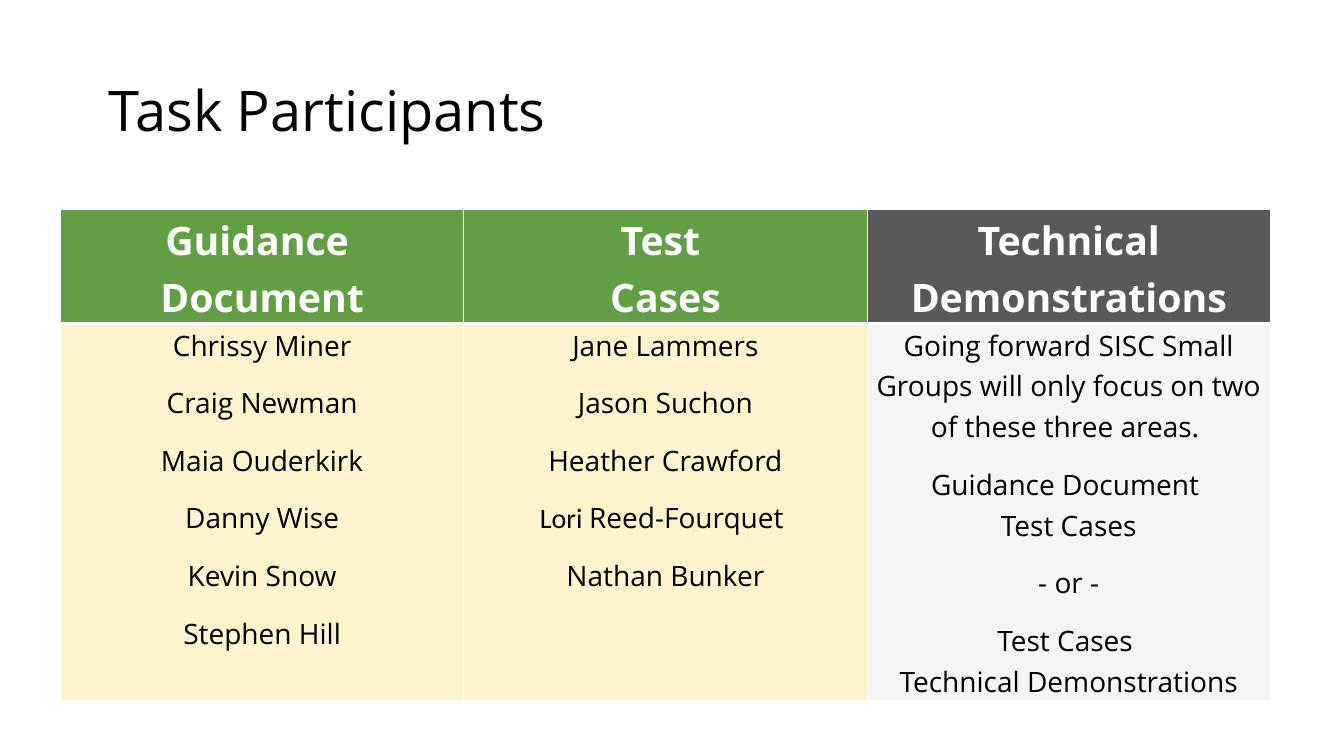
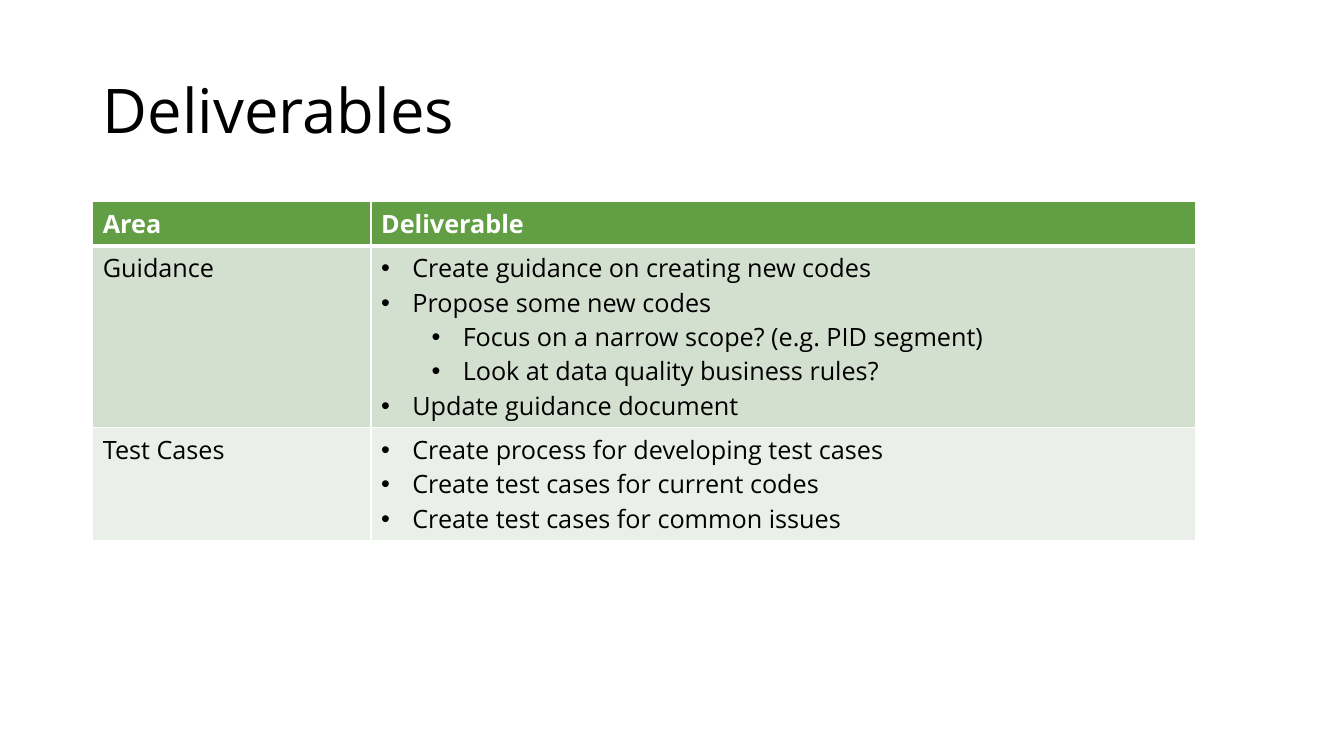
import pptx
import pptx.dml.color
import pptx.enum.text
import pptx.oxml
import pptx.oxml.ns
import pptx.util

Inches = pptx.util.Inches
Pt = pptx.util.Pt
ALIGN = pptx.enum.text.PP_ALIGN
ANCHOR = pptx.enum.text.MSO_ANCHOR

COLORS = {
    "text": "000000",
    "white": "FFFFFF",
    "green": "629F44",
    "gray": "595959",
    "cream": "FDF3CC",
    "pale_gray": "F5F5F5",
    "sage": "D3DFCF",
    "pale_sage": "EAF0E9",
}


class Deck:
    font = "Open Sans"
    title_only_layout = 5
    bullet_indent = 0.31
    level_indent = 0.5
    thin_border = 1
    thick_border = 3

    def __init__(self):
        self.presentation = pptx.Presentation()
        self.presentation.slide_width = Inches(13.33)
        self.presentation.slide_height = Inches(7.5)
        self.slide = None

    def color(self, name):
        return pptx.dml.color.RGBColor.from_string(COLORS[name])

    def add_slide(self):
        layout = self.presentation.slide_layouts[self.title_only_layout]
        self.slide = self.presentation.slides.add_slide(layout)

    def add_run(self, paragraph, text, size, color="text", bold=False, font=None):
        for index, line in enumerate(text.split("\n")):
            if index:
                paragraph.add_line_break()
            run = paragraph.add_run()
            run.text = line
            run.font.name = font or self.font
            run.font.size = Pt(size)
            run.font.bold = bold
            run.font.color.rgb = self.color(color)

    def add_title(self, text, left, top, width, height, size):
        title = self.slide.shapes.title
        title.left, title.top = Inches(left), Inches(top)
        title.width, title.height = Inches(width), Inches(height)
        title.text_frame.word_wrap = True
        title.text_frame.vertical_anchor = ANCHOR.MIDDLE
        paragraph = title.text_frame.paragraphs[0]
        paragraph.alignment = ALIGN.LEFT
        paragraph.line_spacing = 0.9
        self.add_run(paragraph, text, size)

    def add_table(self, left, top, column_widths, row_heights):
        frame = self.slide.shapes.add_table(
            len(row_heights), len(column_widths), Inches(left), Inches(top),
            Inches(sum(column_widths)), Inches(sum(row_heights)))
        table = frame.table
        table.horz_banding = False
        for column, width in zip(table.columns, column_widths):
            column.width = Inches(width)
        for row, height in zip(table.rows, row_heights):
            row.height = Inches(height)
        return table

    def add_borders(self, cell, row):
        widths = {"L": self.thin_border, "R": self.thin_border,
                  "T": self.thick_border if row == 1 else self.thin_border,
                  "B": self.thick_border if row == 0 else self.thin_border}
        properties = cell._tc.get_or_add_tcPr()
        for side, width in widths.items():
            properties.append(pptx.oxml.parse_xml(
                f'<a:ln{side} {pptx.oxml.ns.nsdecls("a")} w="{Pt(width)}">'
                f'<a:solidFill><a:srgbClr val="{COLORS["white"]}"/></a:solidFill>'
                f'</a:ln{side}>'))

    def add_bullet(self, paragraph, level):
        paragraph.level = level
        properties = paragraph._p.get_or_add_pPr()
        properties.set("marL", str(Inches(self.bullet_indent + level * self.level_indent)))
        properties.set("indent", str(-Inches(self.bullet_indent)))
        for element in ('buFont {} typeface="Arial"', 'buChar {} char="•"'):
            declaration = element.format(pptx.oxml.ns.nsdecls("a"))
            properties.append(pptx.oxml.parse_xml(f"<a:{declaration}/>"))

    def fill_cell(self, table, row, column, paragraphs, fill, size, levels=None,
                  centered=False, space_after=0):
        cell = table.cell(row, column)
        self.add_borders(cell, row)
        cell.fill.solid()
        cell.fill.fore_color.rgb = self.color(fill)
        if centered:
            cell.margin_left = cell.margin_right = Inches(0.07)
            cell.margin_top = cell.margin_bottom = 0
        header = row == 0
        for index, runs in enumerate(paragraphs):
            text_frame = cell.text_frame
            paragraph = text_frame.add_paragraph() if index else text_frame.paragraphs[0]
            if levels:
                self.add_bullet(paragraph, levels[index])
            if centered:
                paragraph.alignment = ALIGN.CENTER
                paragraph.line_spacing = 1.07
                paragraph.space_after = Pt(space_after)
            for text, font in [(runs, None)] if isinstance(runs, str) else runs:
                self.add_run(paragraph, text, size, "white" if header else "text", header, font)


def build_participants(deck):
    deck.add_slide()
    deck.add_title("Task Participants", 0.98, 0.75, 8.62, 0.74, 40)
    groups = [
        (["Guidance ", "Document"], "green",
         ["Chrissy Miner", "Craig Newman", "Maia Ouderkirk", "Danny Wise",
          "Kevin Snow", "Stephen Hill"], "cream"),
        (["Test ", "Cases"], "green",
         ["Jane Lammers", "Jason Suchon", "Heather Crawford",
          [("Lori ", "Calibri"), ("Reed-Fourquet ", None)], "Nathan Bunker"], "cream"),
        (["Technical Demonstrations"], "gray",
         ["Going forward SISC Small Groups will only focus on two of these three areas. ",
          "Guidance Document \nTest Cases", "- or -",
          "Test Cases \nTechnical Demonstrations"], "pale_gray"),
    ]
    table = deck.add_table(0.6, 2.08, [4] * len(groups), [0.78, 2.26])
    for column, (heading, heading_fill, members, fill) in enumerate(groups):
        deck.fill_cell(table, 0, column, heading, heading_fill, 28, centered=True)
        deck.fill_cell(table, 1, column, members, fill, 20, centered=True, space_after=12)


def build_deliverables(deck):
    deck.add_slide()
    deck.add_title("Deliverables", 0.92, 0.4, 11.5, 1.45, 44)
    areas = [
        ("Area", ["Deliverable"], None, "green"),
        ("Guidance",
         ["Create guidance on creating new codes", "Propose some new codes",
          "Focus on a narrow scope? (e.g. PID segment)",
          "Look at data quality business rules?", "Update guidance document"],
         [0, 0, 1, 1, 0], "sage"),
        ("Test Cases",
         ["Create process for developing test cases", "Create test cases for current codes",
          "Create test cases for common issues"],
         [0, 0, 0], "pale_sage"),
    ]
    table = deck.add_table(0.92, 2, [2.76, 8.18], [0.41] * len(areas))
    for row, (area, deliverables, levels, fill) in enumerate(areas):
        deck.fill_cell(table, row, 0, [area], fill, 18)
        deck.fill_cell(table, row, 1, deliverables, fill, 18, levels)


def main():
    deck = Deck()
    build_participants(deck)
    build_deliverables(deck)
    deck.presentation.save("out.pptx")


if __name__ == "__main__":
    main()
